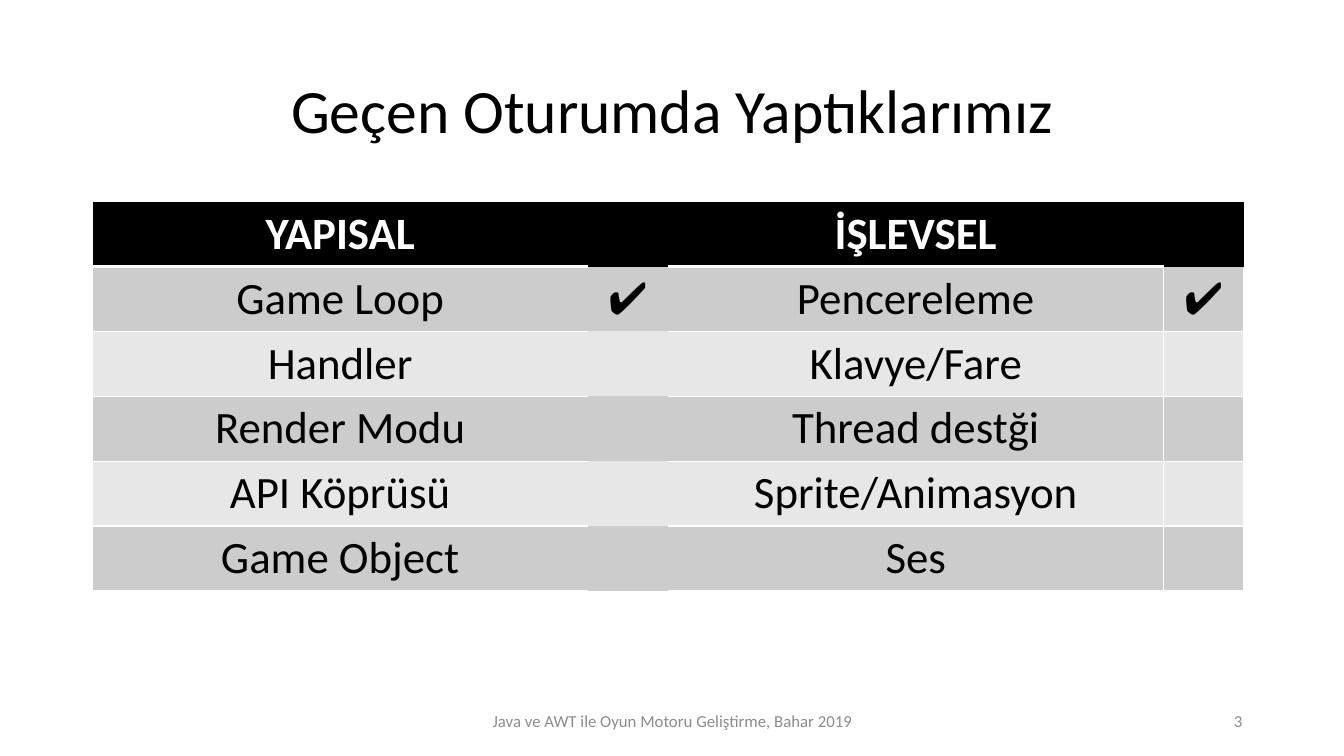
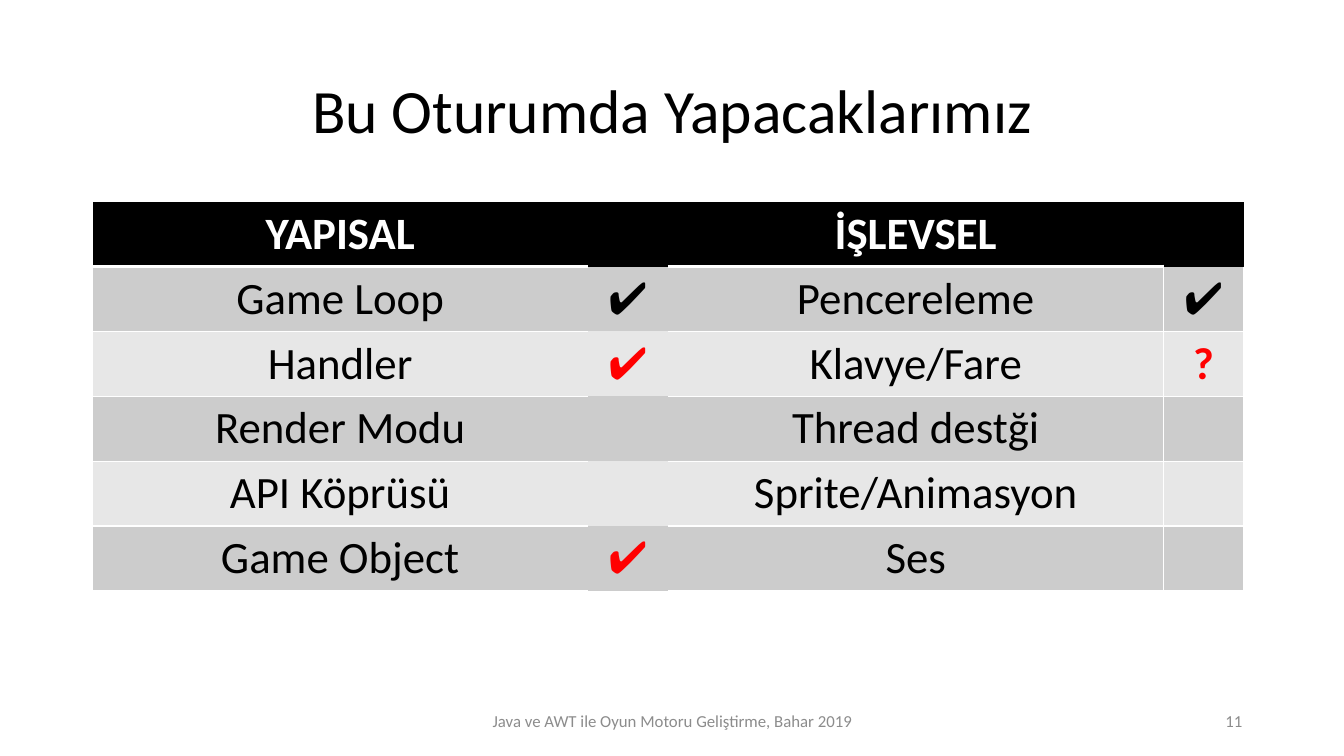
from dataclasses import dataclass, field

from lxml.etree import SubElement
from pptx import Presentation
from pptx.dml.color import RGBColor
from pptx.enum.text import MSO_ANCHOR, PP_ALIGN
from pptx.oxml.ns import qn
from pptx.util import Inches, Pt

WIDE, HIGH = Inches(13.33), Inches(7.5)
FONT = "Calibri"
BLACK, WHITE, RED, GREY = "000000", "FFFFFF", "FF0000", "8C8C8C"
BANDS = ("E7E7E7", "CCCCCC")
PLAIN = "{2D5ABB26-0587-4C30-8999-92F81FD0307C}"  # table style without grid
FOOTER = "Java ve AWT ile Oyun Motoru Geliştirme, Bahar 2019"


@dataclass(frozen=True)
class Box:
    """Place and size as percentages of the slide."""
    left: float
    top: float
    width: float
    height: float

    def place(self) -> tuple[int, int, int, int]:
        return (across(self.left), down(self.top),
                across(self.width), down(self.height))


@dataclass(frozen=True)
class Label:
    text: str
    color: str = BLACK
    size: int = 32
    bold: bool = False


@dataclass(frozen=True)
class Page:
    title: str
    number: int
    marks: dict[tuple[int, int], Label] = field(default_factory=dict)


# Shared grid
TITLE = Box(6.9, 5.33, 86.27, 19.33)
FOOT = Box(33.16, 92.67, 33.76, 5.33)
COUNT = Box(70.67, 92.67, 22.5, 5.33)
COLS = (36.83, 6, 36.83, 6)
ROW = 8.27
TOPICS = (
    ("YAPISAL", "İŞLEVSEL"),
    ("Game Loop", "Pencereleme"),
    ("Handler", "Klavye/Fare"),
    ("Render Modu", "Thread destği"),
    ("API Köprüsü", "Sprite/Animasyon"),
    ("Game Object", "Ses"),
)
GRID = Box(6.9, 26.67, sum(COLS), ROW * len(TOPICS))

# Status marks, keyed by row and column
DONE = Label("✔")
NOW = Label("✔", RED)
MAYBE = Label("?", RED, bold=True)
PAST = {(1, 1): DONE, (1, 3): DONE}
PAGES = (
    Page("Geçen Oturumda Yaptıklarımız", 3, PAST),
    Page("Bu Oturumda Yapacaklarımız", 11,
         PAST | {(2, 1): NOW, (2, 3): MAYBE, (5, 1): NOW}),
)


def across(share: float) -> int:
    return round(WIDE * share / 100)


def down(share: float) -> int:
    return round(HIGH * share / 100)


def paint(target, color: str) -> None:
    """Colour a fill, or the fill of a font."""
    target.solid()
    target.fore_color.rgb = RGBColor.from_string(color)


def write(frame, label: Label, align=PP_ALIGN.CENTER):
    para = frame.paragraphs[0]
    para.alignment = align
    run = para.add_run()
    run.text = label.text
    run.font.name, run.font.size = FONT, Pt(label.size)
    run.font.bold = label.bold
    paint(run.font.fill, label.color)
    return para


def sides(row: int, col: int) -> str:
    """Edges of a cell that carry a white line."""
    if col == 0:
        return "LTB"
    if col == 2:
        return "RTB" if row else "TB"
    if col == 3 and row:
        return "LRTB" if row > 1 else "LRB"
    return ""


def edge(cell, side: str, width: float) -> None:
    props = cell._tc.get_or_add_tcPr()
    line = SubElement(props, qn(f"a:ln{side}"), w=str(Pt(width)))
    fill = SubElement(line, qn("a:solidFill"))
    SubElement(fill, qn("a:srgbClr"), val=WHITE)


def add_title(slide, text: str) -> None:
    title = slide.shapes.title
    title.left, title.top, title.width, title.height = TITLE.place()
    title.text_frame.vertical_anchor = MSO_ANCHOR.MIDDLE
    write(title.text_frame, Label(text, size=44)).line_spacing = 0.9


def add_note(slide, box: Box, text: str, align) -> None:
    frame = slide.shapes.add_textbox(*box.place()).text_frame
    frame.word_wrap = True
    frame.vertical_anchor = MSO_ANCHOR.MIDDLE
    write(frame, Label(text, GREY, 12), align)


def add_grid(slide, marks: dict[tuple[int, int], Label]) -> None:
    shape = slide.shapes.add_table(len(TOPICS), len(COLS), *GRID.place())
    table = shape.table
    table._tbl.tblPr.find(qn("a:tableStyleId")).text = PLAIN
    for col, share in enumerate(COLS):
        table.columns[col].width = across(share)
    for row, names in enumerate(TOPICS):
        table.rows[row].height = down(ROW)
        for col in range(len(COLS)):
            cell = table.cell(row, col)
            # Lines come before the fill
            for side in sides(row, col):
                edge(cell, side, 3 if row == 0 and side == "B" else 1)
            paint(cell.fill, BANDS[row % 2] if row else BLACK)
            # Names in even columns, marks in odd ones
            if col % 2 == 0:
                color = BLACK if row else WHITE
                label = Label(names[col // 2], color, bold=row == 0)
            else:
                label = marks.get((row, col))
            if label:
                write(cell.text_frame, label)


def main() -> None:
    deck = Presentation()
    deck.slide_width, deck.slide_height = WIDE, HIGH
    for page in PAGES:
        slide = deck.slides.add_slide(deck.slide_layouts[5])
        add_title(slide, page.title)
        add_grid(slide, page.marks)
        add_note(slide, FOOT, FOOTER, PP_ALIGN.CENTER)
        add_note(slide, COUNT, str(page.number), PP_ALIGN.RIGHT)
    deck.save("out.pptx")


if __name__ == "__main__":
    main()
